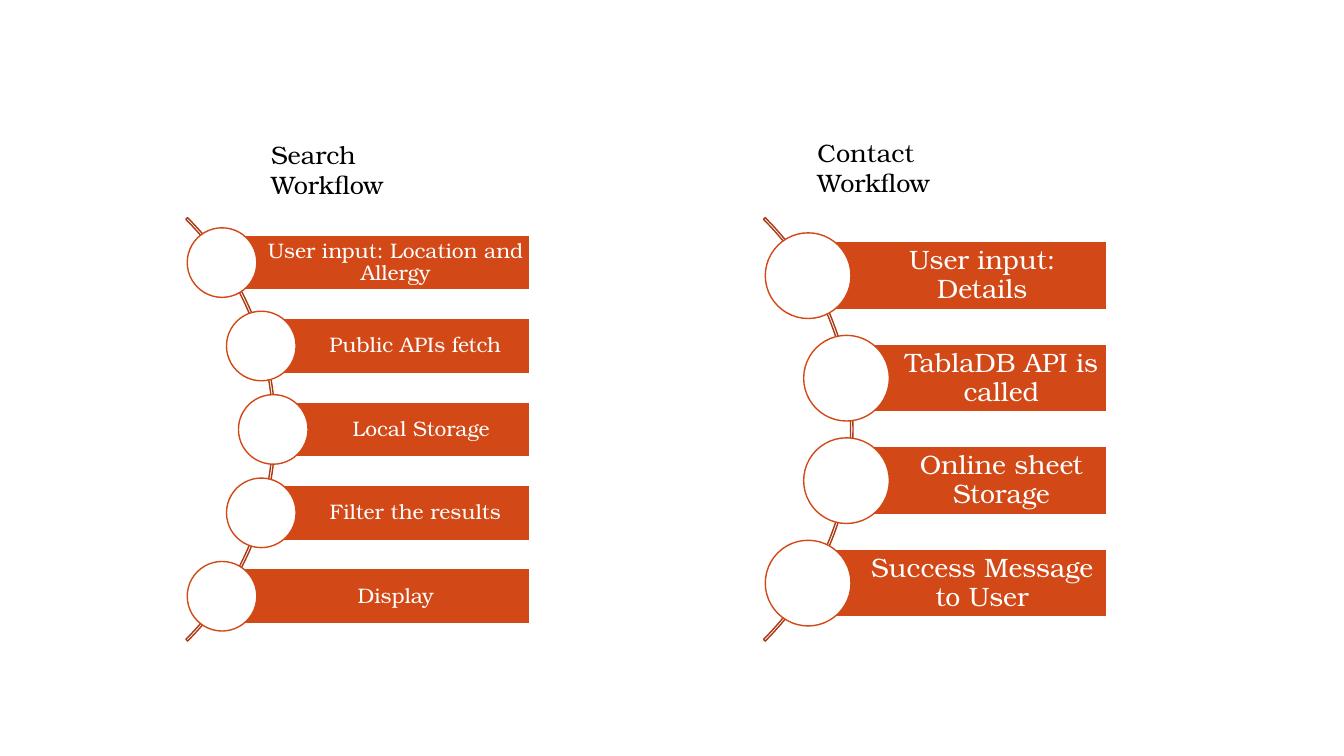
from math import sqrt

from pptx import Presentation
from pptx.dml.color import RGBColor
from pptx.enum.shapes import MSO_SHAPE as Preset
from pptx.enum.text import MSO_ANCHOR as Anchor, PP_ALIGN as Align
from pptx.util import Emu, Pt

PX = 9144  # 100 px to the inch
FONT = "TeX Gyre Bonum"
ORANGE = RGBColor(0xD3, 0x48, 0x17)
RUST = RGBColor(0xA9, 0x3A, 0x12)
WHITE = RGBColor(0xFF, 0xFF, 0xFF)
BLACK = RGBColor(0x00, 0x00, 0x00)

ARC_SIZE = 594
TRACK_RADIUS = 295  # circle centres lie on this radius
BAR_RIGHT = 846  # from the left of the arc's box


def px(length):
    return Emu(round(length * PX))


def add_preset(slide, preset, left, top, width, height, fill, line):
    shape = slide.shapes.add_shape(preset, px(left), px(top), px(width), px(height))
    shape.shadow.inherit = False
    if fill is None:
        shape.fill.background()
    else:
        shape.fill.solid()
        shape.fill.fore_color.rgb = fill
    shape.line.color.rgb = line
    shape.line.width = Pt(1)
    return shape


def add_text(paragraph, text, size, color):
    run = paragraph.add_run()
    run.text = text
    run.font.name = FONT
    run.font.size = Pt(size)
    run.font.color.rgb = color


def add_title(slide, left, top, width, text):
    box = slide.shapes.add_textbox(px(left), px(top), px(width), px(40))
    box.text_frame.word_wrap = True
    add_text(box.text_frame.paragraphs[0], text, 18, BLACK)


def add_step(slide, center_x, center_y, right, diameter, text, size):
    # Bar from the circle's centre to the common right edge
    height = diameter * 0.79
    bar = add_preset(slide, Preset.RECTANGLE, center_x, center_y - height / 2,
                     right - center_x, height, ORANGE, WHITE)
    frame = bar.text_frame
    frame.word_wrap = True
    frame.vertical_anchor = Anchor.MIDDLE
    frame.margin_left = px(diameter * 0.635)
    frame.margin_right = frame.margin_top = frame.margin_bottom = px(diameter * 0.06)
    paragraph = frame.paragraphs[0]
    paragraph.alignment = Align.CENTER
    paragraph.line_spacing = 0.9
    add_text(paragraph, text, size, WHITE)

    # Circle over the bar's left end
    add_preset(slide, Preset.OVAL, center_x - diameter / 2, center_y - diameter / 2,
               diameter, diameter, WHITE, ORANGE)


def add_workflow(slide, left, top, steps, span, diameter, size):
    # Curved track
    arc = add_preset(slide, Preset.BLOCK_ARC, left, top, ARC_SIZE, ARC_SIZE, None, RUST)
    for index, value in enumerate((189, 27, 0.004)):
        arc.adjustments[index] = value

    # Steps spread evenly down the track
    middle = (len(steps) - 1) / 2
    pitch = span / (len(steps) - 1)
    for index, text in enumerate(steps):
        offset = (index - middle) * pitch
        center_x = left + ARC_SIZE / 2 + sqrt(TRACK_RADIUS ** 2 - offset ** 2)
        add_step(slide, center_x, top + ARC_SIZE / 2 + offset, left + BAR_RIGHT,
                 diameter, text, size)


def main():
    presentation = Presentation()
    presentation.slide_width = px(1333)
    presentation.slide_height = px(750)
    slide = presentation.slides.add_slide(presentation.slide_layouts[6])

    # Search workflow
    add_workflow(slide, -321, 129,
                 ["User input: Location and Allergy", "Public APIs fetch",
                  "Local Storage", "Filter the results", "Display"],
                 span=331, diameter=69, size=15)
    add_title(slide, 259, 133, 213, "Search Workflow")

    # Contact workflow
    add_workflow(slide, 252, 129,
                 ["User input: Details", "TablaDB API is called",
                  "Online sheet Storage", "Success Message to User"],
                 span=305, diameter=85, size=19)
    add_title(slide, 801, 131, 224, "Contact Workflow")

    presentation.save("out.pptx")


if __name__ == "__main__":
    main()
